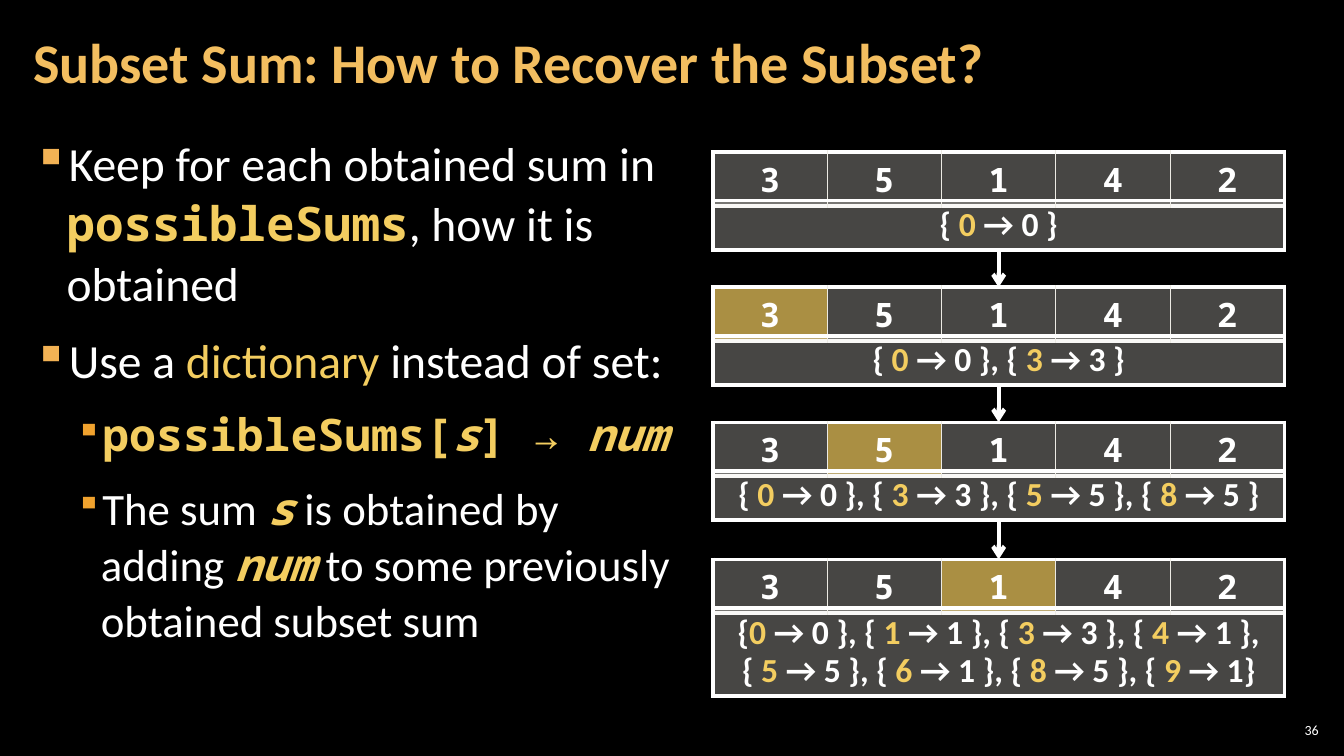
from dataclasses import dataclass

from lxml import etree
from pptx import Presentation
from pptx.dml.color import RGBColor
from pptx.enum.shapes import MSO_CONNECTOR
from pptx.enum.text import MSO_ANCHOR, MSO_AUTO_SIZE, PP_ALIGN
from pptx.oxml.ns import qn
from pptx.util import Inches, Pt

BLACK = RGBColor(0x00, 0x00, 0x00)
WHITE = RGBColor(0xFF, 0xFF, 0xFF)
GOLD = RGBColor(0xF3, 0xCD, 0x60)
TITLE_GOLD = RGBColor(0xF3, 0xBE, 0x60)
BULLET = RGBColor(0xF2, 0xB2, 0x54)
SUB_BULLET = RGBColor(0xF0, 0xA2, 0x2E)
CELL = RGBColor(0xEC, 0xEA, 0xE3)


@dataclass(frozen=True)
class Style:
    font: str = "Calibri"
    color: RGBColor = WHITE
    bold: bool = False
    italic: bool = False


PLAIN = Style()
KEYWORD = Style(color=GOLD)
CODE = Style("Noto Sans Mono", GOLD, True)
VARIABLE = Style("Noto Sans Mono", GOLD, True, True)
NUMBER = Style("Noto Sans Mono", WHITE, True)
SUM = Style(color=WHITE, bold=True)
SUM_KEY = Style(color=GOLD, bold=True)
HEADING = Style(color=TITLE_GOLD, bold=True)

NUMBERS = [3, 5, 1, 4, 2]
# Top, highlighted column, lines of sums; asterisks enclose the keys
STEPS = [
    (1.51, None, ["{ *0 *→ 0 }"]),
    (2.85, 0, ["{ *0 *→ 0 }, { *3 *→ 3 }"]),
    (4.19, 1, ["{ *0 *→ 0 }, { *3 *→ 3 }, { *5 *→ 5 }, { *8 *→ 5 }"]),
    (5.55, 2, ["{*0 *→ 0 }, { *1 *→ 1 }, { *3 *→ 3 }, { *4 *→ 1 },",
               "{ *5 *→ 5 }, { *6 *→ 1 }, { *8 *→ 5 }, { *9 *→ 1}"]),
]
BULLETS = [
    (0, [("Keep for each obtained sum in ", PLAIN), ("possibleSums", CODE),
         (", how it is obtained", PLAIN)]),
    (0, [("Use a ", PLAIN), ("dictionary ", KEYWORD), ("instead of set:", PLAIN)]),
    (1, [("possibleSums[", CODE), ("s", VARIABLE), ("] → ", CODE), ("num", VARIABLE)]),
    (1, [("The sum ", PLAIN), ("s", VARIABLE), (" is obtained by adding ", PLAIN),
         ("num", VARIABLE), (" to some previously obtained subset sum", PLAIN)]),
]
# Size, left margin, hanging indent, bullet colour, bullet size in percent
LEVELS = [(34, 0.33, 0.33, BULLET, 100), (32, 0.67, 0.25, SUB_BULLET, 80)]

TABLE_LEFT, TABLE_WIDTH, ROW_HEIGHT, LINE_HEIGHT = 7.07, 5.67, 0.48, 0.38


def add_solid_fill(parent, color, alpha=100):
    fill = etree.SubElement(parent, qn("a:solidFill"))
    rgb = etree.SubElement(fill, qn("a:srgbClr"), val=str(color))
    if alpha < 100:
        etree.SubElement(rgb, qn("a:alpha"), val=str(alpha * 1000))


class SlideBuilder:
    def __init__(self, presentation):
        self.slide = presentation.slides.add_slide(presentation.slide_layouts[5])
        background = self.slide.background.fill
        background.solid()
        background.fore_color.rgb = BLACK

    def add_runs(self, paragraph, runs, size):
        for text, style in runs:
            run = paragraph.add_run()
            run.text = text
            font = run.font
            font.name, font.size = style.font, Pt(size)
            font.bold, font.italic = style.bold, style.italic
            font.color.rgb = style.color

    def set_frame(self, shape, box, anchor, side=0.12):
        shape.left, shape.top, shape.width, shape.height = map(Inches, box)
        frame = shape.text_frame
        frame.word_wrap = True
        frame.auto_size = MSO_AUTO_SIZE.NONE
        frame.vertical_anchor = anchor
        frame.margin_left = frame.margin_right = Inches(side)
        frame.margin_top = frame.margin_bottom = Inches(0.04)
        return frame

    def title(self, text, box):
        frame = self.set_frame(self.slide.shapes.title, box, MSO_ANCHOR.MIDDLE)
        paragraph = frame.paragraphs[0]
        paragraph.alignment = PP_ALIGN.LEFT
        paragraph.line_spacing = 0.9
        self.add_runs(paragraph, [(text, HEADING)], 40)

    def text_box(self, box, anchor, side=0.12):
        shape = self.slide.shapes.add_textbox(*map(Inches, box))
        return self.set_frame(shape, box, anchor, side)

    def page_number(self, text, box):
        paragraph = self.text_box(box, MSO_ANCHOR.MIDDLE, 0.04).paragraphs[0]
        paragraph.alignment = PP_ALIGN.RIGHT
        self.add_runs(paragraph, [(text, PLAIN)], 10)

    def bullets(self, items, box):
        frame = self.text_box(box, MSO_ANCHOR.TOP)
        for index, (level, runs) in enumerate(items):
            paragraph = frame.add_paragraph() if index else frame.paragraphs[0]
            size, margin, hanging, color, percent = LEVELS[level]
            paragraph.level = level
            paragraph.line_spacing = 1.05
            paragraph.space_before = Pt(6 if index else 0)
            paragraph.space_after = Pt(6)
            properties = paragraph._p.get_or_add_pPr()
            properties.set("marL", str(Inches(margin)))
            properties.set("indent", str(-Inches(hanging)))
            bullet_color = etree.SubElement(properties, qn("a:buClr"))
            etree.SubElement(bullet_color, qn("a:srgbClr"), val=str(color))
            etree.SubElement(properties, qn("a:buSzPct"), val=str(percent * 1000))
            etree.SubElement(properties, qn("a:buChar"), char="▪")
            self.add_runs(paragraph, runs, size)

    def table_row(self, top, height, cells):
        """Draw a one-row table from (lines of runs, fill colour, opacity) cells."""
        box = map(Inches, (TABLE_LEFT, top, TABLE_WIDTH, height))
        table = self.slide.shapes.add_table(1, len(cells), *box).table
        table.first_row = table.horz_banding = False
        last = len(cells) - 1
        for column, (lines, color, opacity) in enumerate(cells):
            cell = table.cell(0, column)
            paragraph = cell.text_frame.paragraphs[0]
            paragraph.alignment = PP_ALIGN.CENTER
            paragraph.line_spacing = 0.95
            for index, runs in enumerate(lines):
                if index:
                    paragraph.add_line_break()
                self.add_runs(paragraph, runs, 24)
            properties = cell._tc.get_or_add_tcPr()
            outer_edges = {"L": column == 0, "R": column == last, "T": True, "B": True}
            for edge, outer in outer_edges.items():
                line = etree.SubElement(properties, qn(f"a:ln{edge}"),
                                        w=str(Pt(3 if outer else 1)))
                add_solid_fill(line, WHITE if outer else CELL)
            add_solid_fill(properties, color, opacity)

    def step(self, top, highlighted, lines):
        """Draw the numbers above the sums and return the bottom edge."""
        self.table_row(top, ROW_HEIGHT, [
            ([[(str(number), NUMBER)]],
             *((GOLD, 70) if column == highlighted else (CELL, 30)))
            for column, number in enumerate(NUMBERS)])
        sums = [[(part, SUM_KEY if index % 2 else SUM)
                 for index, part in enumerate(line.split("*"))] for line in lines]
        height = ROW_HEIGHT + LINE_HEIGHT * (len(lines) - 1)
        self.table_row(top + ROW_HEIGHT, height, [(sums, CELL, 30)])
        return top + ROW_HEIGHT + height

    def down_arrow(self, x, top, bottom):
        connector = self.slide.shapes.add_connector(
            MSO_CONNECTOR.STRAIGHT, *map(Inches, (x, top, x, bottom)))
        connector.line.color.rgb = WHITE
        connector.line.width = Pt(3)
        properties = connector._element.spPr
        etree.SubElement(properties.find(qn("a:ln")), qn("a:tailEnd"), type="arrow")
        etree.SubElement(properties, qn("a:effectLst"))


def main():
    presentation = Presentation()
    presentation.slide_width, presentation.slide_height = Inches(13.33), Inches(7.5)
    builder = SlideBuilder(presentation)
    builder.page_number("36", (12.65, 7.14, 0.47, 0.21))
    builder.bullets(BULLETS, (0.21, 1.26, 6.62, 6.09))
    builder.title("Subset Sum: How to Recover the Subset?", (0.21, 0.04, 10.47, 1.21))
    bottoms = [builder.step(*step) for step in STEPS]
    for bottom, (next_top, *_) in zip(bottoms, STEPS[1:]):
        builder.down_arrow(TABLE_LEFT + TABLE_WIDTH / 2, bottom, next_top)
    presentation.save("out.pptx")


if __name__ == "__main__":
    main()
